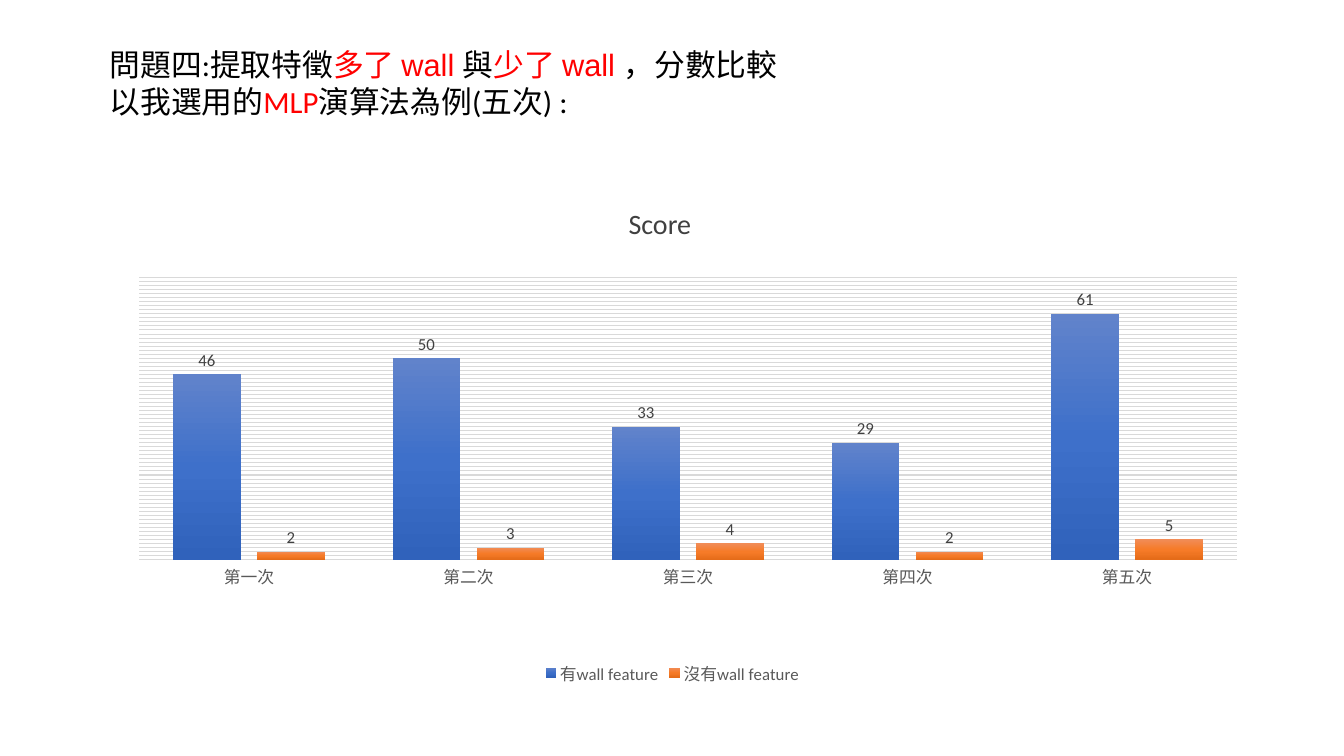
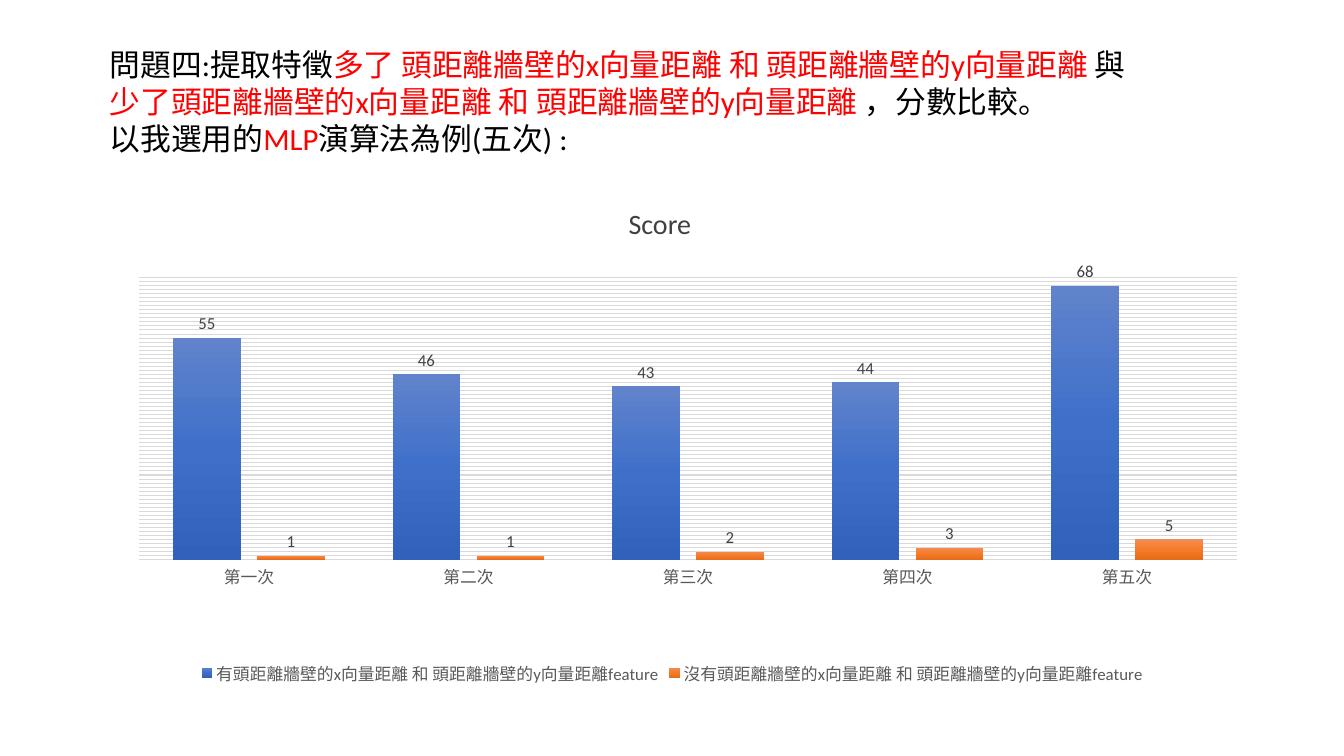
from copy import deepcopy

from lxml import etree
from pptx import Presentation
from pptx import util as u
from pptx.chart.data import CategoryChartData
from pptx.dml.color import RGBColor
from pptx.enum import chart as ch
from pptx.enum import text
from pptx.oxml import ns

COLORS = {
    "text": "000000",
    "accent": "FF0000",
    "label": "404040",
    "axis": "595959",
    "grid": "D9D9D9",
}
GRADIENTS = [("6183CB", "3E70CA", "3062BB"), ("F18C57", "F67B28", "E56C19")]
LATIN, ALT = "Calibri", "Arial"
ROUNDS = ["第一次", "第二次", "第三次", "第四次", "第五次"]
PLOT_LAYOUT = {"x": 0.04, "y": 0.142, "w": 0.947, "h": 0.588}
DISTANCES = "頭距離牆壁的x向量距離 和 頭距離牆壁的y向量距離"
METHOD_LINE = [
    ("以我選用的", "text", LATIN),
    ("MLP", "accent", LATIN),
    ("演算法為例(五次) :", "text", LATIN),
]
HEADING_START = [("問題四:", "text", LATIN), ("提取特徵", "text", ALT)]

COMPARISONS = [
    {
        "size": (23.88, 2.13),
        "heading": HEADING_START + [
            ("多了 wall ", "accent", ALT),
            ("與", "text", ALT),
            ("少了 wall ", "accent", ALT),
            ("，分數比較", "text", LATIN),
        ],
        "feature": "wall feature",
        "scores": [(46, 50, 33, 29, 61), (2, 3, 4, 2, 5)],
    },
    {
        "size": (26.19, 3.07),
        "heading": HEADING_START + [
            ("多了 ", "accent", ALT),
            (DISTANCES + " ", "accent", LATIN),
            ("與", "text", ALT),
            ("少了", "accent", ALT),
            (DISTANCES + " ", "accent", LATIN),
            ("，分數比較。", "text", LATIN),
        ],
        "feature": DISTANCES + "feature",
        "scores": [(55, 46, 43, 44, 68), (1, 1, 2, 3, 5)],
    },
]


def rgb(value):
    return RGBColor.from_string(value)


def style_font(font, size, color, name=LATIN):
    font.size = u.Pt(size)
    font.name = name
    font.bold = False
    font.color.rgb = rgb(COLORS[color])


def add_heading(slide, size, heading):
    sp = slide.shapes.title
    sp.left, sp.top = u.Cm(2.51), u.Cm(1.02)
    sp.width, sp.height = (u.Cm(n) for n in size)
    tf = sp.text_frame
    tf.word_wrap = True
    tf.auto_size = text.MSO_AUTO_SIZE.SHAPE_TO_FIT_TEXT
    tf.vertical_anchor = text.MSO_ANCHOR.TOP
    for p, line in zip((tf.paragraphs[0], tf.add_paragraph()), (heading, METHOD_LINE)):
        p.alignment = text.PP_ALIGN.LEFT
        for words, color, name in line:
            r = p.add_run()
            r.text = words
            style_font(r.font, 22, color, name)


def add_chart_caption(slide, caption):
    sp = slide.shapes.add_textbox(u.Cm(15.27), u.Cm(5.08), u.Cm(2.72), u.Cm(1.12))
    tf = sp.text_frame
    tf.word_wrap = True
    tf.auto_size = text.MSO_AUTO_SIZE.SHAPE_TO_FIT_TEXT
    tf.text = caption
    p = tf.paragraphs[0]
    p.alignment = text.PP_ALIGN.CENTER
    style_font(p.runs[0].font, 20, "label")


def fill_gradient(series, colors):
    fill = series.format.fill
    fill.gradient()
    fill.gradient_angle = 270
    stop_list = series._element.find(".//" + ns.qn("a:gsLst"))
    stop_list.insert(1, deepcopy(stop_list[0]))
    for stop, color, position in zip(fill.gradient_stops, colors, (0, 0.5, 1)):
        stop.color.rgb = rgb(color)
        stop.position = position


def set_plot_layout(chart):
    area = chart._chartSpace.find(".//" + ns.qn("c:plotArea"))
    for old in area.findall(ns.qn("c:layout")):
        area.remove(old)
    layout = etree.Element(ns.qn("c:layout"))
    manual = etree.SubElement(layout, ns.qn("c:manualLayout"))
    settings = {"layoutTarget": "inner", "xMode": "edge", "yMode": "edge", **PLOT_LAYOUT}
    for tag, value in settings.items():
        etree.SubElement(manual, ns.qn("c:" + tag)).set("val", str(value))
    area.insert(0, layout)


def style_axes(chart):
    cat = chart.category_axis
    cat.major_tick_mark = ch.XL_TICK_MARK.NONE
    cat.minor_tick_mark = ch.XL_TICK_MARK.NONE
    cat.format.line.color.rgb = rgb(COLORS["grid"])
    cat.format.line.width = u.Pt(1)
    style_font(cat.tick_labels.font, 12, "axis")

    val = chart.value_axis
    val.visible = False
    val.minimum_scale, val.maximum_scale, val.major_unit = 0, 70, 1
    val.has_major_gridlines = True
    line = val.major_gridlines.format.line
    line.color.rgb = rgb(COLORS["grid"])
    line.width = u.Pt(0.75)


def add_score_chart(slide, feature, scores):
    data = CategoryChartData()
    data.categories = ROUNDS
    for prefix, values in zip(("有", "沒有"), scores):
        data.add_series(prefix + feature, values)
    chart = slide.shapes.add_chart(
        ch.XL_CHART_TYPE.COLUMN_CLUSTERED,
        u.Cm(2.34), u.Cm(5.28), u.Cm(29.21), u.Cm(12.09), data,
    ).chart
    style_font(chart.font, 10, "text")
    chart.has_title = False
    chart.has_legend = True
    chart.legend.position = ch.XL_LEGEND_POSITION.BOTTOM
    chart.legend.include_in_layout = False
    style_font(chart.legend.font, 12, "axis")
    set_plot_layout(chart)
    style_axes(chart)

    plot = chart.plots[0]
    plot.gap_width, plot.overlap = 100, -24
    plot.vary_by_categories = False
    for series, colors in zip(plot.series, GRADIENTS):
        series.invert_if_negative = False
        fill_gradient(series, colors)
        labels = series.data_labels
        labels.show_value = True
        labels.position = ch.XL_LABEL_POSITION.OUTSIDE_END
        style_font(labels.font, 12, "label")


def main():
    prs = Presentation()
    prs.slide_width, prs.slide_height = u.Cm(33.87), u.Cm(19.05)
    for item in COMPARISONS:
        slide = prs.slides.add_slide(prs.slide_layouts[5])
        add_score_chart(slide, item["feature"], item["scores"])
        add_chart_caption(slide, "Score")
        add_heading(slide, item["size"], item["heading"])
    prs.save("out.pptx")


if __name__ == "__main__":
    main()
